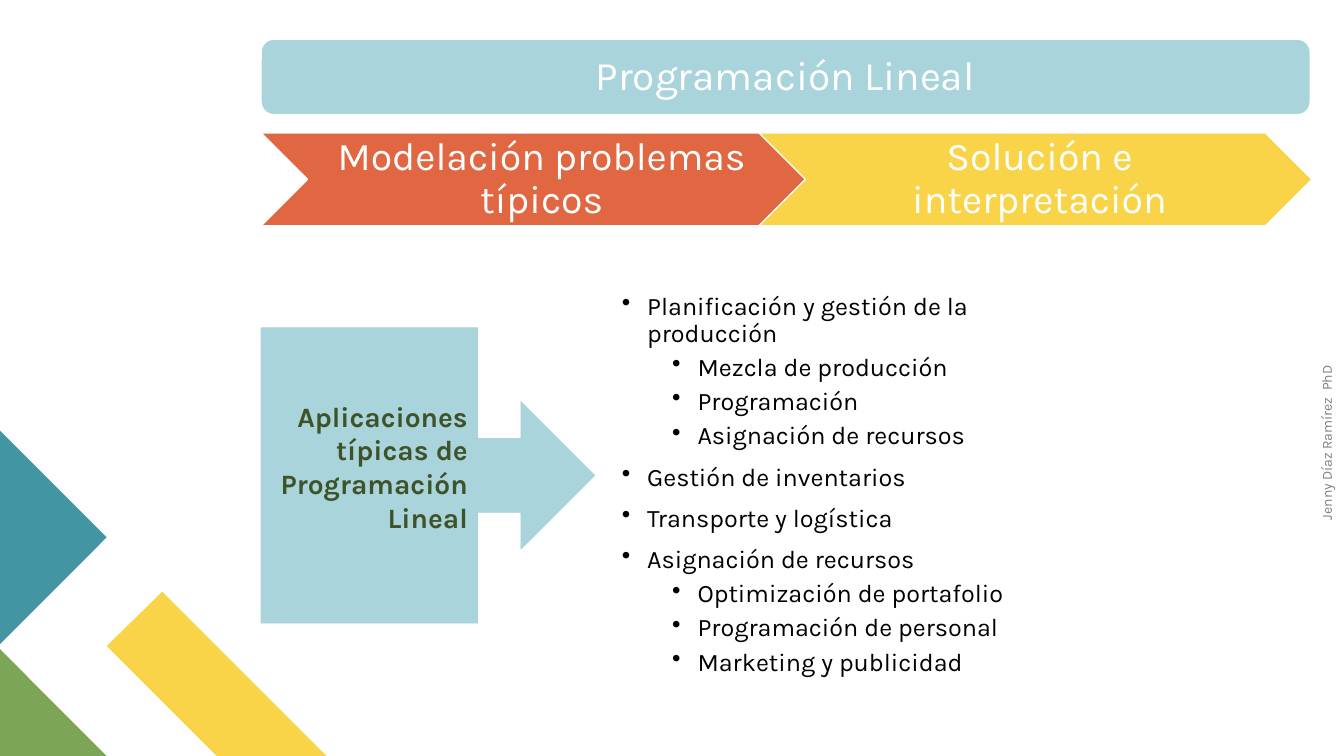
from dataclasses import dataclass, field
from typing import Any

import pptx
import pptx.dml.color
import pptx.enum.shapes
import pptx.enum.text
import pptx.oxml
import pptx.oxml.ns
import pptx.util

Cm = pptx.util.Cm
Pt = pptx.util.Pt
Shape = pptx.enum.shapes.MSO_SHAPE
Align = pptx.enum.text.PP_ALIGN
Anchor = pptx.enum.text.MSO_ANCHOR


@dataclass(frozen=True)
class Theme:
    font: str = "Karla"
    white: str = "FFFFFF"
    black: str = "000000"
    grey: str = "808080"
    sky: str = "A9D4DB"
    orange: str = "E06742"
    yellow: str = "F9D448"
    teal: str = "4495A2"
    green: str = "7CA655"
    forest: str = "3E532A"
    title_size: float = 29
    stage_size: float = 28
    callout_size: float = 20
    bullet_size: float = 18
    author_size: float = 10


@dataclass(frozen=True)
class Box:
    left: float
    top: float
    width: float
    height: float

    def lengths(self) -> tuple[Any, ...]:
        return Cm(self.left), Cm(self.top), Cm(self.width), Cm(self.height)


@dataclass(frozen=True)
class Panel:
    """A filled preset shape with text; insets run left, top, right, bottom."""
    kind: Any
    box: Box
    fill: str
    outline: str
    outline_width: float
    text: str
    size: float
    color: str
    insets: tuple[float, float, float, float]
    anchor: Any = Anchor.MIDDLE
    paragraph_format: dict[str, Any] = field(
        default_factory=lambda: {"alignment": Align.CENTER, "line_spacing": 0.9})
    bold: bool = False


@dataclass(frozen=True)
class Ornament:
    color: str
    corners: tuple[tuple[float, float], ...]


@dataclass(frozen=True)
class Topic:
    text: str
    subtopics: tuple[str, ...] = ()


THEME = Theme()
SLIDE_WIDTH, SLIDE_HEIGHT = 33.87, 19.05
CONTENT_LEFT = 6.58
STAGE_WIDTH = 13.94
STAGE_STEP = 0.9 * STAGE_WIDTH

ORNAMENTS = (
    Ornament(THEME.yellow, ((8.23, SLIDE_HEIGHT), (5.46, SLIDE_HEIGHT),
                            (2.69, 16.28), (4.09, 14.91))),
    Ornament(THEME.green, ((2.69, SLIDE_HEIGHT), (0, SLIDE_HEIGHT), (0, 16.36))),
    Ornament(THEME.teal, ((0, 10.85), (2.69, 13.54), (0, 16.23))),
)
TITLE = Panel(Shape.ROUNDED_RECTANGLE, Box(CONTENT_LEFT, 0.99, 26.44, 1.9),
              THEME.sky, THEME.white, 1, "Programación Lineal",
              THEME.title_size, THEME.white, (0.3, 0.3, 0.3, 0.3))
STAGES = [
    Panel(Shape.CHEVRON, Box(CONTENT_LEFT + i * STAGE_STEP, 3.35, STAGE_WIDTH, 2.34),
          fill, THEME.white, 1, text, THEME.stage_size, THEME.white,
          (0.66, 0.1, 0.46, 0.1))
    for i, (text, fill) in enumerate((
        ("Modelación problemas típicos", THEME.orange),
        ("Solución e interpretación", THEME.yellow)))
]
CALLOUT = Panel(Shape.RIGHT_ARROW_CALLOUT, Box(CONTENT_LEFT, 8.26, 8.41, 7.44),
                THEME.sky, THEME.sky, 0.5,
                "Aplicaciones típicas de Programación Lineal",
                THEME.callout_size, THEME.forest, (0.25, 1.8, 0.25, 0.13),
                Anchor.TOP, {"alignment": Align.RIGHT}, True)
TOPICS = (
    Topic("Planificación y gestión de la producción",
          ("Mezcla de producción", "Programación", "Asignación de recursos")),
    Topic("Gestión de inventarios"),
    Topic("Transporte y logística"),
    Topic("Asignación de recursos",
          ("Optimización de portafolio", "Programación de personal",
           "Marketing y publicidad")),
)


def apply_format(target: Any, values: dict[str, Any]) -> None:
    for name, value in values.items():
        setattr(target, name, value)


def rgb(color: str) -> Any:
    return pptx.dml.color.RGBColor.from_string(color)


def fill_solid(fill: Any, color: str) -> None:
    fill.solid()
    fill.fore_color.rgb = rgb(color)


def set_frame(frame: Any, insets: tuple[float, ...], anchor: Any) -> None:
    left, top, right, bottom = map(Cm, insets)
    apply_format(frame, {"word_wrap": True, "vertical_anchor": anchor,
                         "margin_left": left, "margin_top": top,
                         "margin_right": right, "margin_bottom": bottom})


def write(paragraph: Any, text: str, size: float, color: str, bold: bool = False) -> None:
    run = paragraph.add_run()
    run.text = text
    apply_format(run.font, {"name": THEME.font, "size": Pt(size), "bold": bold})
    run.font.color.rgb = rgb(color)


def draw_ornament(slide: Any, ornament: Ornament) -> None:
    start, *others = [(Cm(x), Cm(y)) for x, y in ornament.corners]
    builder = slide.shapes.build_freeform(*start)
    builder.add_line_segments(others, close=True)
    outline = builder.convert_to_shape()
    outline.shadow.inherit = False
    fill_solid(outline.fill, ornament.color)
    outline.line.fill.background()


def draw_panel(slide: Any, panel: Panel) -> None:
    block = slide.shapes.add_shape(panel.kind, *panel.box.lengths())
    block.shadow.inherit = False
    fill_solid(block.fill, panel.fill)
    fill_solid(block.line.fill, panel.outline)
    block.line.width = Pt(panel.outline_width)
    set_frame(block.text_frame, panel.insets, panel.anchor)
    paragraph = block.text_frame.paragraphs[0]
    apply_format(paragraph, panel.paragraph_format)
    write(paragraph, panel.text, panel.size, panel.color, panel.bold)


def draw_topics(slide: Any, box: Box, topics: tuple[Topic, ...]) -> None:
    frame = slide.shapes.add_textbox(*box.lengths()).text_frame
    set_frame(frame, (0.25, 0.13, 0.25, 0.13), Anchor.TOP)
    entries = [(level, text) for topic in topics
               for level, text in ((0, topic.text), *((1, sub) for sub in topic.subtopics))]
    for i, (level, text) in enumerate(entries):
        paragraph = frame.add_paragraph() if i else frame.paragraphs[0]
        apply_format(paragraph, {"level": level, "line_spacing": 0.9,
                                 "space_before": Pt(5 if level else 10)})
        add_bullet(paragraph, indent=0.64 + 1.27 * level, hanging=0.64)
        write(paragraph, text, THEME.bullet_size, THEME.black)


def add_bullet(paragraph: Any, indent: float, hanging: float) -> None:
    properties = paragraph._p.get_or_add_pPr()
    properties.set("marL", str(Cm(indent)))
    properties.set("indent", str(-Cm(hanging)))
    properties.append(pptx.oxml.parse_xml(
        f'<a:buChar {pptx.oxml.ns.nsdecls("a")} char="•"/>'))


def draw_author(slide: Any, box: Box, author: str) -> None:
    credit = slide.shapes.add_textbox(*box.lengths())
    credit.rotation = 270
    set_frame(credit.text_frame, (0, 0, 0, 0), Anchor.TOP)
    write(credit.text_frame.paragraphs[0], author, THEME.author_size, THEME.grey)


def main() -> None:
    deck = pptx.Presentation()
    apply_format(deck, {"slide_width": Cm(SLIDE_WIDTH), "slide_height": Cm(SLIDE_HEIGHT)})
    slide = deck.slides.add_slide(deck.slide_layouts[6])
    draw_author(slide, Box(31.39, 10.59, 4.34, 0.69), "Jenny Díaz Ramírez  PhD")
    for ornament in ORNAMENTS:
        draw_ornament(slide, ornament)
    draw_topics(slide, Box(15.42, 7.26, 12.34, 9.42), TOPICS)
    for panel in (TITLE, *STAGES, CALLOUT):
        draw_panel(slide, panel)
    deck.save("out.pptx")


if __name__ == "__main__":
    main()
